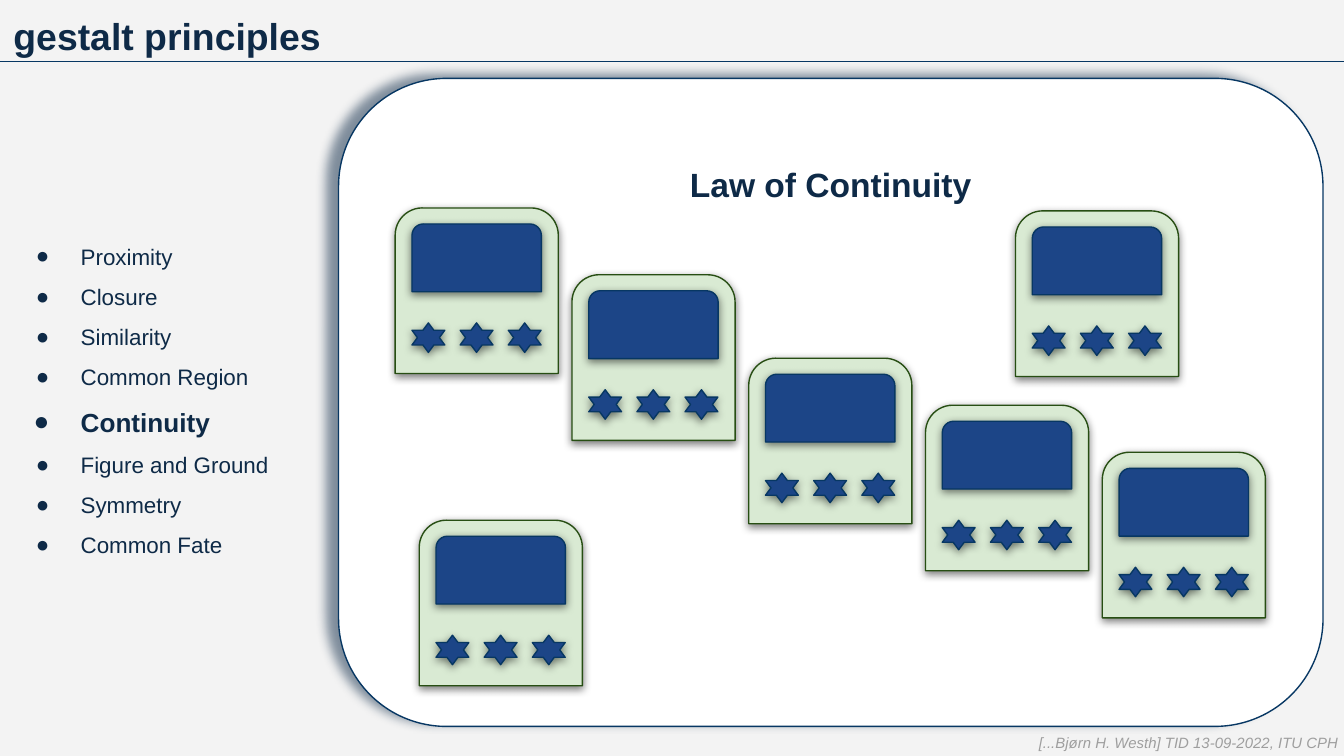
import pptx
import pptx.util
import pptx.dml.color
import pptx.enum.shapes
import pptx.enum.text
import pptx.oxml
import pptx.oxml.ns
from lxml import etree

Pt = pptx.util.Pt
SHAPE = pptx.enum.shapes.MSO_SHAPE
ALIGN = pptx.enum.text.PP_ALIGN
ANCHOR = pptx.enum.text.MSO_ANCHOR
qn = pptx.oxml.ns.qn

# Content
TITLE = "gestalt principles"
LAWS = ["Proximity", "Closure", "Similarity", "Common Region", "Continuity",
        "Figure and Ground", "Symmetry", "Common Fate"]
ACTIVE = "Continuity"
HEADING = "Law of Continuity"
CREDIT = "[...Bjørn H. Westh] TID 13-09-2022, ITU CPH"

# Cards: a chain with equal steps across, and two strays
CHAIN_X, STEP = 211.7, 94.7
CHAIN_Y = [111.4, 147.2, 191.9, 217.1, 242.3]
STRAYS = [(544, 113), (224.6, 278.7)]

NAVY, BLUE, EDGE = "0E2A47", "1C4587", "073763"
GREEN, MOSS = "D9EAD3", "274E13"
PALE, WHITE, GREY = "F3F3F3", "FFFFFF", "9E9E9E"

# Shadows: colour, opacity %, blur, distance, angle
SOFT = ("000000", 50, 4.5, 1.5, 90)
DEEP = (NAVY, 51, 5.6, 6.8, 199)


def color(code):
    return pptx.dml.color.RGBColor.from_string(code)


def paint(fill, code):
    fill.solid()
    fill.fore_color.rgb = color(code)


def place(shape, x, y, w, h):
    shape.left, shape.top, shape.width, shape.height = Pt(x), Pt(y), Pt(w), Pt(h)


def style(para, size, code, bold=False, italic=False):
    font = para.font
    font.name, font.size = "Arial", Pt(size)
    font.bold, font.italic = bold, italic
    font.color.rgb = color(code)


def frame(shape, anchor):
    text = shape.text_frame
    text.word_wrap = True
    text.auto_size = pptx.enum.text.MSO_AUTO_SIZE.NONE
    text.vertical_anchor = anchor
    text.margin_left = text.margin_right = Pt(7.2)
    text.margin_top = text.margin_bottom = Pt(7.2)
    return text


def bullet(para, hang):
    props = para._p.get_or_add_pPr()
    props.set("marL", str(Pt(36)))
    props.set("indent", str(-Pt(hang)))
    tint = etree.SubElement(props, qn("a:buClr"))
    etree.SubElement(tint, qn("a:srgbClr"), val=NAVY)
    etree.SubElement(props, qn("a:buFont"), typeface="Arial")
    etree.SubElement(props, qn("a:buChar"), char="●")


def shade(shape, code, alpha, blur, dist, angle):
    shape.shadow.inherit = False
    effects = shape._element.spPr.find(qn("a:effectLst"))
    outer = etree.SubElement(
        effects, qn("a:outerShdw"), blurRad=str(Pt(blur)), dist=str(Pt(dist)),
        dir=str(angle * 60000), algn="bl", rotWithShape="0")
    tint = etree.SubElement(outer, qn("a:srgbClr"), val=code)
    etree.SubElement(tint, qn("a:alpha"), val=str(alpha * 1000))


def block(kind, x, y, w, h, fill, edge, shadow):
    shape = slide.shapes.add_shape(kind, Pt(x), Pt(y), Pt(w), Pt(h))
    paint(shape.fill, fill)
    shape.line.color.rgb = color(edge)
    shape.line.width = Pt(0.75)
    shade(shape, *shadow)
    return shape


def card(x, y):
    tab = SHAPE.ROUND_2_SAME_RECTANGLE
    block(tab, x, y, 87.4, 88.7, GREEN, MOSS, SOFT)
    block(tab, x + 9, y + 8.6, 69.3, 36.3, BLUE, EDGE, SOFT)
    for i in range(3):
        block(SHAPE.STAR_6_POINT, x + 9 + 25.8 * i, y + 61.6, 17.6, 15.8,
              BLUE, EDGE, SOFT)


prs = pptx.Presentation()
prs.slide_width, prs.slide_height = Pt(720), Pt(405)
slide = prs.slides.add_slide(prs.slide_layouts[1])
paint(slide.background.fill, PALE)

# Title and rule
title = slide.shapes.title
place(title, 0, 0, 720, 36)
text = frame(title, ANCHOR.TOP)
text.text = TITLE
text.paragraphs[0].alignment = ALIGN.LEFT
style(text.paragraphs[0], 20, NAVY, bold=True)

rule = slide.shapes.add_connector(
    pptx.enum.shapes.MSO_CONNECTOR.STRAIGHT, Pt(0), Pt(33), Pt(720), Pt(33))
rule.line.color.rgb = color(EDGE)
rule.line.width = Pt(0.75)
etree.SubElement(rule._element.spPr, qn("a:effectLst"))

# List of laws
body = slide.placeholders[1]
place(body, 0, 36, 181.4, 350)
paint(body.fill, PALE)
text = frame(body, ANCHOR.MIDDLE)
text.text = "\n".join(LAWS)
for para, law in zip(text.paragraphs, LAWS):
    bold = law == ACTIVE
    bullet(para, 25.2 if bold else 24)
    para.line_spacing = 1.5
    para.space_before = Pt(0)
    style(para, 14 if bold else 12, NAVY, bold)

# Panel with heading
panel = block(SHAPE.ROUNDED_RECTANGLE, 181.4, 42, 527.4, 347.2, WHITE, EDGE, DEEP)
text = frame(panel, ANCHOR.TOP)
text.text = HEADING
para = text.paragraphs[0]
para.alignment = ALIGN.CENTER
para.line_spacing = 2.0
style(para, 18, NAVY, bold=True)

# Cards
chain = [(CHAIN_X + STEP * i, y) for i, y in enumerate(CHAIN_Y)]
for x, y in chain + STRAYS:
    card(x, y)

# Credit
note = slide.shapes.add_textbox(Pt(549.4), Pt(386), Pt(178), Pt(24.5))
text = frame(note, ANCHOR.TOP)
text.text = CREDIT
style(text.paragraphs[0], 8, GREY, italic=True)

prs.save("out.pptx")
